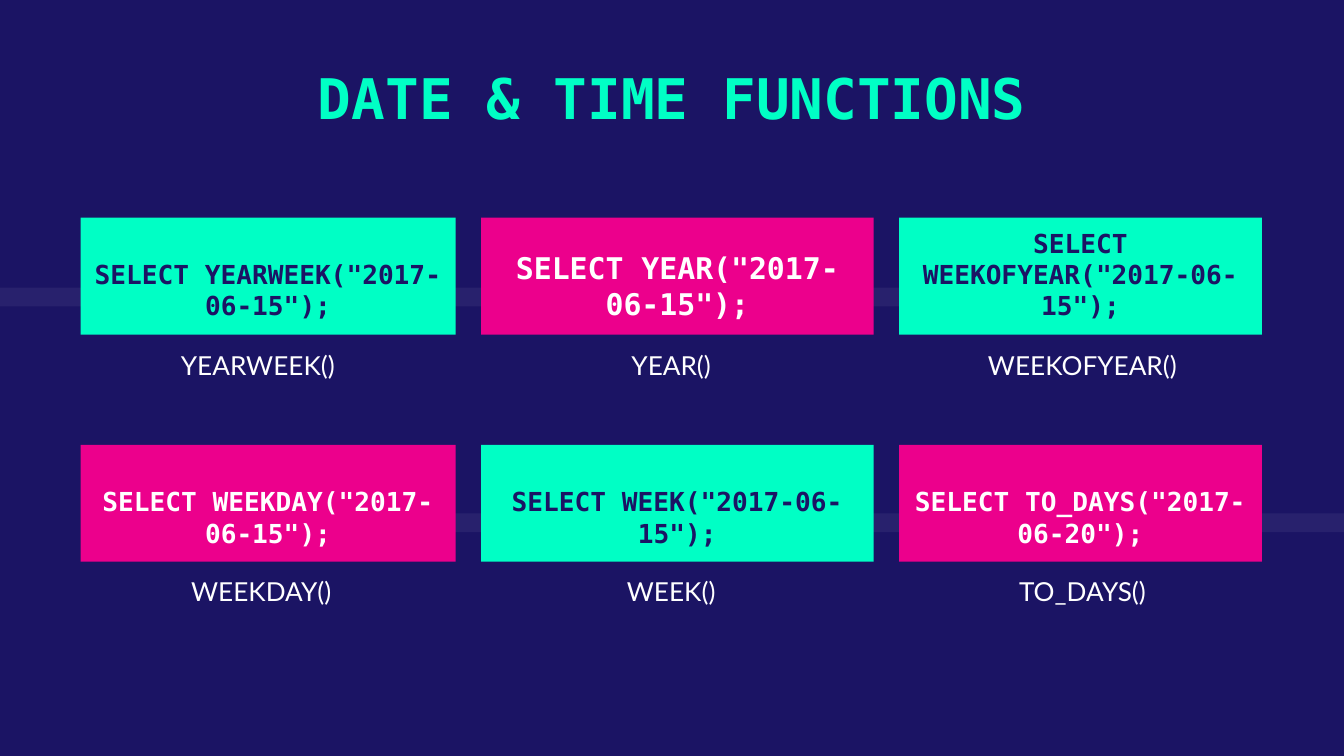
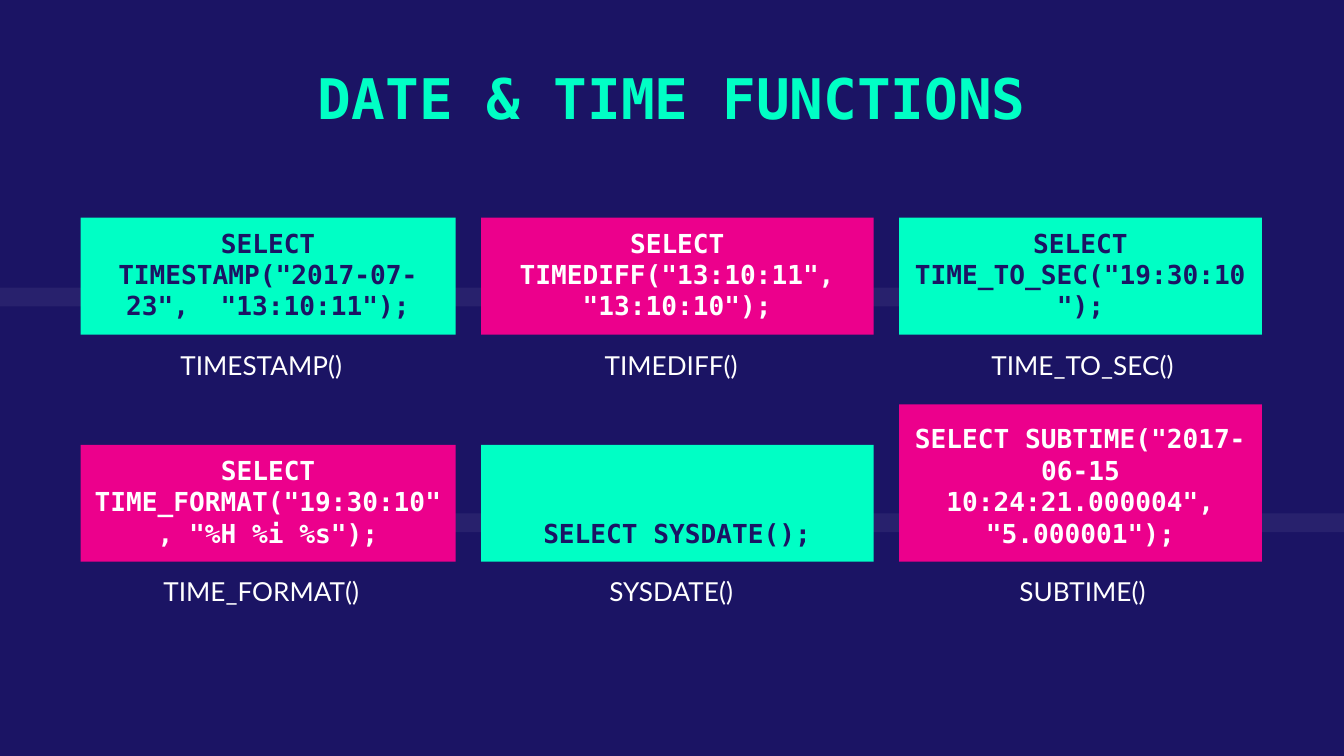
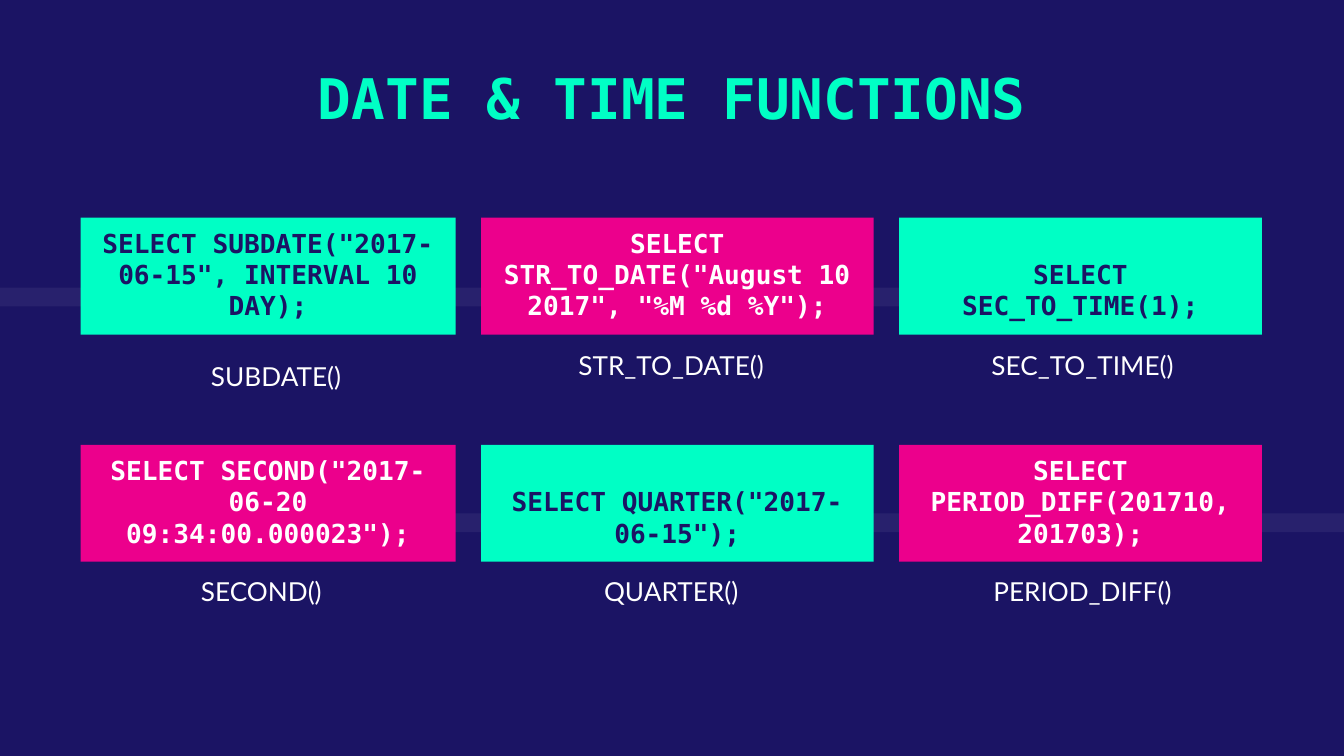
from pptx import Presentation
from pptx.dml.color import RGBColor
from pptx.enum.shapes import MSO_SHAPE
from pptx.enum.text import MSO_ANCHOR, PP_ALIGN
from pptx.util import Inches, Pt
from lxml.etree import SubElement

# Content: three slides of six (function, query, exceptions) cards, row by row
TITLE = "DATE & TIME FUNCTIONS"
SLIDES = [
    [
        ("YEARWEEK() ", 'SELECT YEARWEEK("2017-06-15");', {}),
        ("YEAR()", 'SELECT YEAR("2017-06-15");', {"size": 16}),
        ("WEEKOFYEAR()", 'SELECT WEEKOFYEAR("2017-06-15");', {}),
        ("WEEKDAY()", 'SELECT WEEKDAY("2017-06-15");', {}),
        ("WEEK()", 'SELECT WEEK("2017-06-15");', {}),
        ("TO_DAYS()", 'SELECT TO_DAYS("2017-06-20");', {}),
    ],
    [
        ("TIMESTAMP()", 'SELECT TIMESTAMP("2017-07-23",  "13:10:11");', {}),
        ("TIMEDIFF()", 'SELECT TIMEDIFF("13:10:11", "13:10:10");', {}),
        ("TIME_TO_SEC()", 'SELECT TIME_TO_SEC("19:30:10");', {}),
        ("TIME_FORMAT()", 'SELECT TIME_FORMAT("19:30:10", "%H %i %s");', {}),
        ("SYSDATE()", "SELECT SYSDATE();", {}),
        ("SUBTIME()", 'SELECT SUBTIME("2017-06-15 10:24:21.000004", "5.000001");',
         {"extra_height": 0.3}),
    ],
    [
        ("SUBDATE()", 'SELECT SUBDATE("2017-06-15", INTERVAL 10 DAY);',
         {"name_shift": (0.11, 0.08)}),
        ("STR_TO_DATE()", 'SELECT STR_TO_DATE("August 10 2017", "%M %d %Y");', {}),
        ("SEC_TO_TIME()", "SELECT SEC_TO_TIME(1);", {}),
        ("SECOND()", 'SELECT SECOND("2017-06-20 09:34:00.000023");', {}),
        ("QUARTER()", 'SELECT QUARTER("2017-06-15");', {}),
        ("PERIOD_DIFF()", "SELECT PERIOD_DIFF(201710, 201703);", {}),
    ],
]

# Shared style and grid, in inches
COLORS = {"navy": "1B1464", "mint": "00FFC5", "pink": "EC008C", "white": "FFFFFF"}
CODE_FONT, NAME_FONT = "DejaVu Sans Mono", "Lato"
BANDS = [(0, 2.14, 8.52), (1.02, 3.82, 8.98)]  # left, top, width
BAND_HEIGHT, BAND_ALPHA = 0.14, 6
COLUMNS = [(0.6, 2.79, 0.91), (3.58, 2.92, 3.96), (6.69, 2.7, 7.02)]  # query left, width, name left
ROWS = [(1.62, 2.5), (3.31, 4.18)]  # query top, name top
QUERY_HEIGHT = 0.87
NAME_WIDTH, NAME_HEIGHT = 2.07, 0.73


def color(name):
    return RGBColor.from_string(COLORS[name])


def add_block(slide, left, top, width, height, fill):
    block = slide.shapes.add_shape(
        MSO_SHAPE.RECTANGLE, Inches(left), Inches(top), Inches(width), Inches(height))
    block.shadow.inherit = False
    block.fill.solid()
    block.fill.fore_color.rgb = color(fill)
    block.line.fill.background()
    return block


def write(shape, text, font, size, ink, bold=False, anchor=MSO_ANCHOR.TOP):
    frame = shape.text_frame
    frame.word_wrap = True
    frame.vertical_anchor = anchor
    frame.margin_left = frame.margin_right = Inches(0.1)
    frame.margin_top = frame.margin_bottom = Inches(0.1)
    paragraph = frame.paragraphs[0]
    paragraph.text = text
    paragraph.alignment = PP_ALIGN.CENTER
    paragraph.font.name = font
    paragraph.font.size = Pt(size)
    paragraph.font.bold = bold
    paragraph.font.color.rgb = color(ink)


def add_label(slide, left, top, width, height, *style, **options):
    label = slide.shapes.add_textbox(
        Inches(left), Inches(top), Inches(width), Inches(height))
    write(label, *style, **options)


def add_bands(slide):
    for left, top, width in BANDS:
        band = add_block(slide, left, top, width, BAND_HEIGHT, "white")
        # Transparency of the band's fill
        tint = band.fill._xPr.solidFill.srgbClr
        namespace = tint.nsmap["a"]
        SubElement(tint, f"{{{namespace}}}alpha", val=str(BAND_ALPHA * 1000))


def add_card(slide, index, name, query, exceptions):
    row, column = divmod(index, len(COLUMNS))
    query_left, query_width, name_left = COLUMNS[column]
    query_top, name_top = ROWS[row]
    # Colours alternate like a chessboard
    fill, ink = ("pink", "white") if (row + column) % 2 else ("mint", "navy")

    # Function name under the query
    shift_x, shift_y = exceptions.get("name_shift", (0, 0))
    add_label(slide, name_left + shift_x, name_top + shift_y, NAME_WIDTH, NAME_HEIGHT,
              name, NAME_FONT, 14, "white")

    # Query block; a longer one grows upwards
    extra = exceptions.get("extra_height", 0)
    block = add_block(slide, query_left, query_top - extra, query_width,
                      QUERY_HEIGHT + extra, fill)
    write(block, query, CODE_FONT, exceptions.get("size", 14), ink,
          bold=True, anchor=MSO_ANCHOR.BOTTOM)


# Deck in 16:9 with a shared backdrop
deck = Presentation()
deck.slide_width = Inches(10)
deck.slide_height = Inches(10 * 9 / 16)
backdrop = deck.slide_master.background.fill
backdrop.solid()
backdrop.fore_color.rgb = color("navy")

for cards in SLIDES:
    slide = deck.slides.add_slide(deck.slide_layouts[6])
    add_bands(slide)
    add_label(slide, 1.4, 0.37, 7.2, 0.73, TITLE, CODE_FONT, 30, "mint", bold=True)
    for index, card in enumerate(cards):
        add_card(slide, index, *card)

deck.save("out.pptx")
